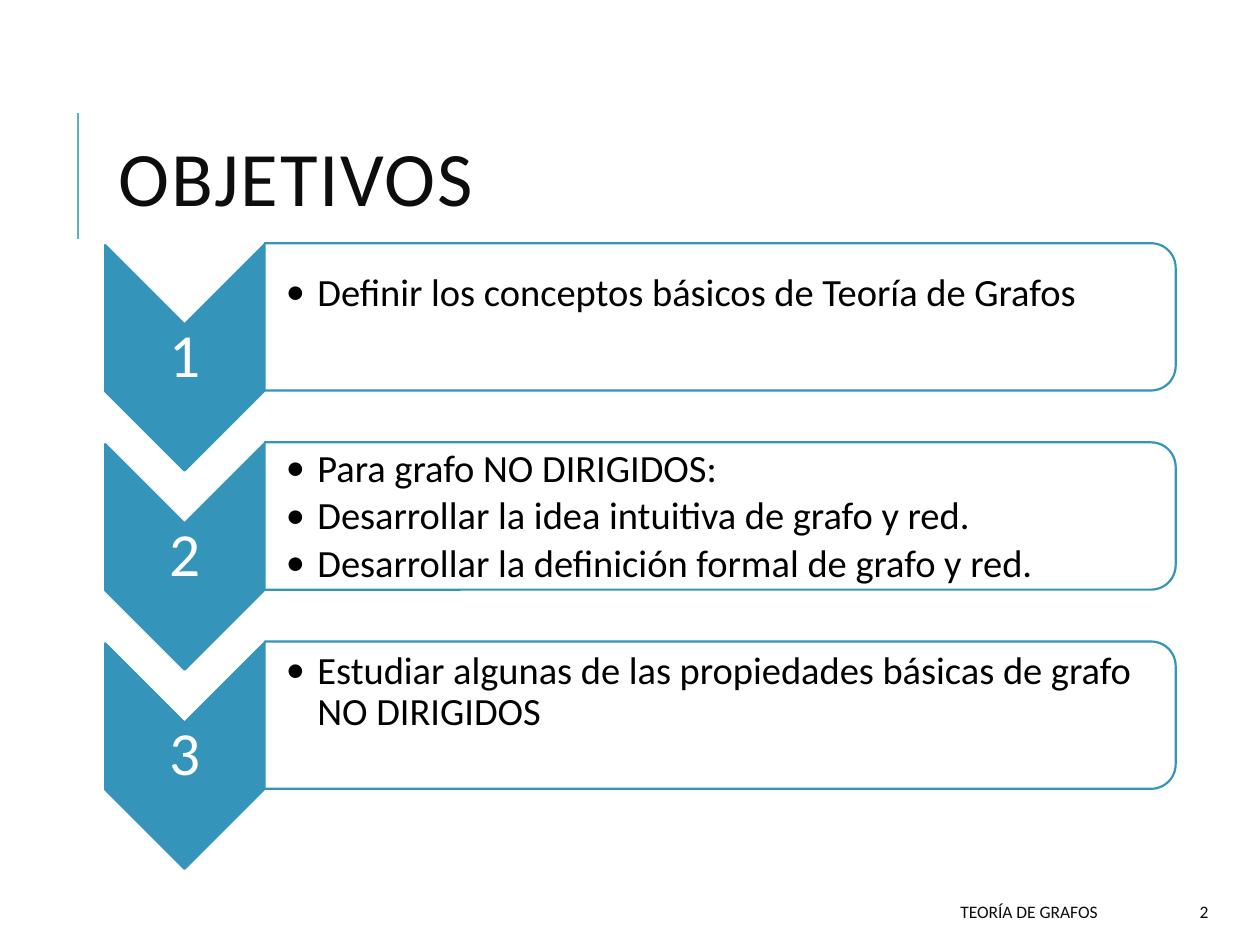
from lxml import etree
from pptx import Presentation
from pptx.dml.color import RGBColor
from pptx.enum import shapes, text
from pptx.oxml import ns
from pptx.util import Pt

FONT = "Calibri"
COLORS = {
    "accent": "3494BA",
    "rule": "58B6C0",
    "title": "0D0D0D",
    "body": "000000",
    "white": "FFFFFF",
}
GOALS = [
    ["Definir los conceptos básicos de Teoría de Grafos"],
    [
        "Para grafo NO DIRIGIDOS:",
        "Desarrollar la idea intuitiva de grafo y red.",
        "Desarrollar la definición formal de grafo y red.",
    ],
    ["Estudiar algunas de las propiedades básicas de grafo NO DIRIGIDOS"],
]
ROW_PITCH = 113.8
BLANK_LINE = 27.5


def color(name):
    return RGBColor.from_string(COLORS[name])


def place(shape, left, top, width, height):
    shape.left, shape.top = Pt(left), Pt(top)
    shape.width, shape.height = Pt(width), Pt(height)


def add_bullet(paragraph):
    properties = paragraph._p.get_or_add_pPr()
    properties.set("marL", str(Pt(18)))
    properties.set("indent", str(Pt(-18)))
    etree.SubElement(properties, ns.qn("a:buFont"), typeface=FONT)
    etree.SubElement(properties, ns.qn("a:buChar"), char="•")


def write(shape, lines, size, fill, align=text.PP_ALIGN.LEFT, spacing=1.0, after=0,
          insets=(7.2, 3.6, 7.2, 3.6), bullet=False, tracking=0):
    frame = shape.text_frame
    frame.word_wrap = True
    frame.auto_size = text.MSO_AUTO_SIZE.NONE
    frame.vertical_anchor = text.MSO_ANCHOR.MIDDLE
    frame.margin_left, frame.margin_top, frame.margin_right, frame.margin_bottom = map(Pt, insets)
    frame.text = "\n".join(lines)
    for paragraph in frame.paragraphs:
        paragraph.alignment = align
        paragraph.line_spacing = spacing
        paragraph.space_before = Pt(0)
        paragraph.space_after = Pt(after)
        if bullet:
            add_bullet(paragraph)
        for run in paragraph.runs:
            run.font.name = FONT
            run.font.size = Pt(size)
            run.font.bold = False
            run.font.color.rgb = color(fill)
            if tracking:
                run.font._element.set("spc", str(tracking * 100))


def add_text(slide, box, content, size, fill, **formatting):
    shape = slide.shapes.add_textbox(*map(Pt, box))
    write(shape, [content], size, fill, **formatting)


def add_turned_shape(slide, kind, box, fill, opacity=100):
    shape = slide.shapes.add_shape(kind, *map(Pt, box))
    shape.rotation = 90
    shape.shadow.inherit = False
    shape.fill.solid()
    shape.fill.fore_color.rgb = color(fill)
    if opacity < 100:
        solid = shape._element.spPr.find(ns.qn("a:solidFill"))
        etree.SubElement(solid[0], ns.qn("a:alpha"), val=str(opacity * 1000))
    shape.line.color.rgb = color("accent")
    shape.line.width = Pt(1.25)


def add_title(slide):
    rule = slide.shapes.add_connector(
        shapes.MSO_CONNECTOR.STRAIGHT, Pt(44.6), Pt(136.8), Pt(44.6), Pt(64.8))
    rule.line.color.rgb = color("rule")
    rule.line.width = Pt(1.5)
    etree.SubElement(rule._element.spPr, ns.qn("a:effectLst"))
    title = slide.shapes.title
    place(title, 60.5, 46.1, 573.8, 118.1)
    write(title, ["OBJETIVOS"], 44, "title", spacing=0.8, tracking=1)


def add_goal(slide, index, lines, placeholder):
    offset = index * ROW_PITCH
    add_turned_shape(slide, shapes.MSO_SHAPE.CHEVRON,
                     (41, 159.1 + offset, 128.9, 90.7), "accent")
    add_text(slide, (60.5, 185 + offset, 90.7, 38.9), str(index + 1), 35, "white",
             align=text.PP_ALIGN.CENTER, spacing=0.9, after=12.25,
             insets=(1.5, 1.5, 1.5, 1.5))
    add_turned_shape(slide, shapes.MSO_SHAPE.ROUND_2_SAME_RECTANGLE,
                     (369.4, -79.2 + offset, 84.2, 520.6), "white", opacity=90)
    slide.shapes._spTree.append(placeholder._element)
    place(placeholder, 151.2, 144 + offset, 517, 75.6)
    bottom = 1.5 + (BLANK_LINE if len(lines) == 1 else 0)
    write(placeholder, lines, 22, "body", spacing=0.9, after=3.3,
          insets=(12.2, 1.5, 1.5, bottom), bullet=True)


def add_footer(slide):
    for box, content in [((285.8, 509.8, 348.5, 21.6), "TEORÍA DE GRAFOS"),
                         ((640.1, 509.8, 57.6, 21.6), "2")]:
        add_text(slide, box, content, 10, "title", align=text.PP_ALIGN.RIGHT)


def main():
    presentation = Presentation()
    presentation.slide_width, presentation.slide_height = Pt(720), Pt(540)
    slide = presentation.slides.add_slide(
        presentation.slide_layouts.get_by_name("Comparison"))
    title, *bodies = list(slide.placeholders)
    add_title(slide)
    for index, (lines, body) in enumerate(zip(GOALS, bodies)):
        add_goal(slide, index, lines, body)
    for unused in bodies[len(GOALS):]:
        unused._element.getparent().remove(unused._element)
    add_footer(slide)
    presentation.save("out.pptx")


if __name__ == "__main__":
    main()
